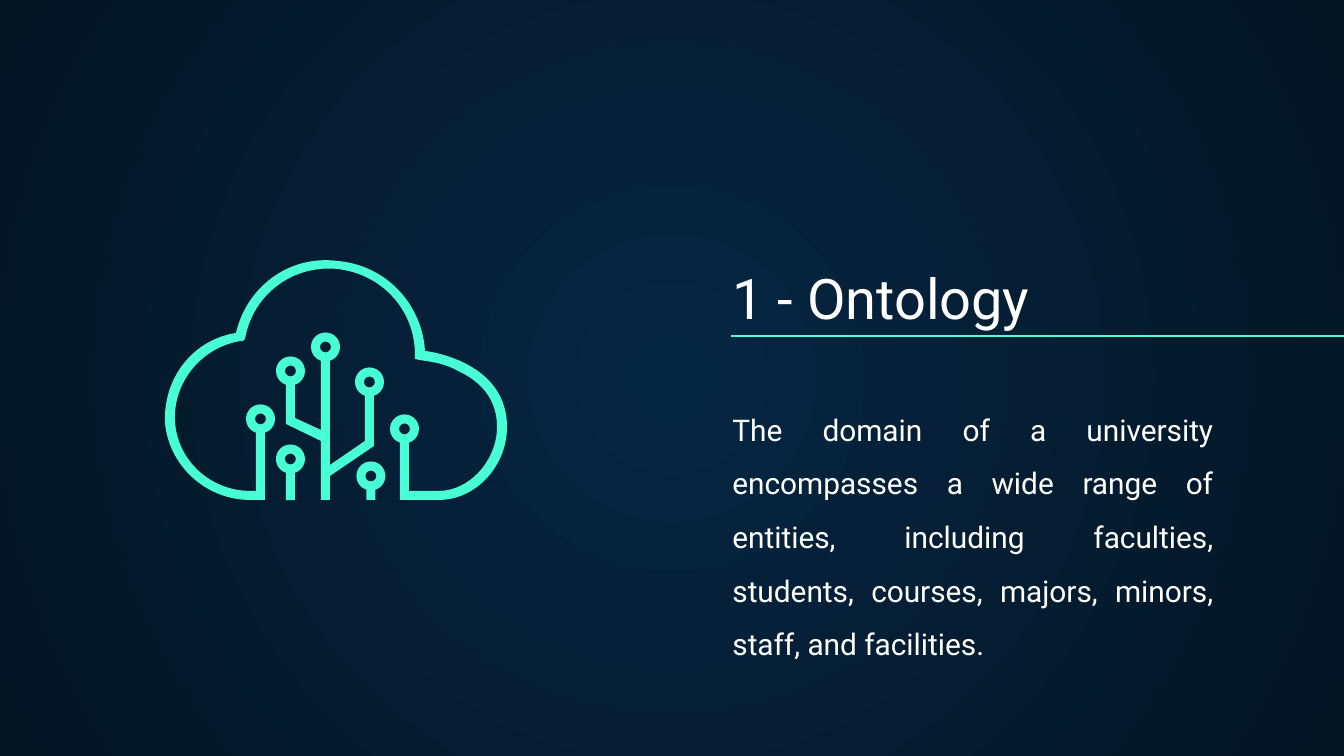
import math

from lxml import etree
from pptx import Presentation
from pptx.dml.color import RGBColor
from pptx.enum.shapes import MSO_CONNECTOR
from pptx.enum.text import MSO_ANCHOR, MSO_AUTO_SIZE, PP_ALIGN
from pptx.oxml.ns import qn
from pptx.util import Pt

EMU_PER_PX = 914400 / 134.4
STRAIGHT = MSO_CONNECTOR.STRAIGHT
TOP, BOTTOM = MSO_ANCHOR.TOP, MSO_ANCHOR.BOTTOM
LEFT, JUSTIFY = PP_ALIGN.LEFT, PP_ALIGN.JUSTIFY
NO_AUTOFIT = MSO_AUTO_SIZE.NONE

SLIDE_SIZE = (1344, 756)
FONT, WHITE, MINT = "Roboto", "FFFFFF", "48FFD5"
GLOW = ["052643", "041523"]
INSET = Pt(7.2)
RULE = (731, 336, 1384, 336)

TEXTS = [
    {"text": "1 - Ontology", "box": (719, 255, 519, 89), "size": 30,
     "anchor": BOTTOM, "align": LEFT, "spacing": 1.0},
    {"text": "The domain of a university encompasses a wide range of entities, "
             "including faculties, students, courses, majors, minors, staff, "
             "and facilities.",
     "box": (719, 380, 508, 296), "size": 16,
     "anchor": TOP, "align": JUSTIFY, "spacing": 1.5},
]

# Icon outlines: L = corner, C = cubic curve, N = ring around a node on a stem
NODE_RADIUS, HOLE_RADIUS, STEM_HALF = 14.5, 5.5, 4.5
TREE = [
    ("L", (374, 446)), ("N", (369.5, 382)), ("L", (365, 441)), ("L", (330, 465)),
    ("N", (325.5, 347)), ("L", (321, 430)), ("L", (295, 418)),
    ("N", (290.5, 371)), ("L", (286, 424)), ("L", (321, 441)),
    ("L", (321, 500)), ("L", (330, 500)), ("L", (330, 476)),
]
CLOUD = [
    ("L", (425, 351)),
    ("C", (422, 304), (386, 265), (337, 261)),
    ("C", (290, 255), (247, 286), (236, 333)),
    ("C", (192, 340), (163, 379), (165, 423)),
    ("C", (169, 466), (206, 500), (250, 500)),
    ("L", (265, 500)), ("N", (260.5, 419)), ("L", (256, 491)), ("L", (250, 491)),
    ("C", (210, 491), (177, 460), (175, 421)),
    ("C", (173, 382), (202, 347), (241, 341)),
    ("L", (243, 341)), ("L", (245, 339)),
    ("C", (253, 294), (293, 265), (337, 269)),
    ("C", (382, 274), (415, 310), (415, 355)),
    ("L", (415, 359)), ("L", (419, 360)),
    ("C", (433, 362), (446, 364), (458, 371)),
    ("C", (484, 383), (497, 402), (497, 427)),
    ("C", (497, 460), (470, 491), (439, 491)),
    ("L", (409, 491)), ("N", (404.5, 429)), ("L", (400, 500)), ("L", (439, 500)),
    ("C", (476, 500), (507, 466), (507, 427)),
    ("C", (507, 367), (441, 353), (425, 351)),
]
LEFT_SPROUT = [("L", (295, 500)), ("N", (290.5, 459)), ("L", (286, 500))]
RIGHT_SPROUT = [("L", (375.5, 500)), ("N", (371, 476)), ("L", (366.5, 500))]


def px(value):
    return round(value * EMU_PER_PX)


def rgb(color):
    return RGBColor.from_string(color)


def arc(center, radius, start, end, pieces=3):
    """Segments of an arc: its first point, then one cubic curve per piece."""
    sweep = math.radians(end - start) / pieces
    reach = 4 / 3 * math.tan(sweep / 4)

    def place(angle, tangent=0):
        return (center[0] + radius * (math.cos(angle) - tangent * math.sin(angle)),
                center[1] + radius * (math.sin(angle) + tangent * math.cos(angle)))

    angles = [math.radians(start) + sweep * i for i in range(pieces + 1)]
    return [[place(angles[0])]] + [
        [place(a, reach), place(b, -reach), place(b)]
        for a, b in zip(angles, angles[1:])]


def bend_curves(path, segments):
    """Join the three lines of each curved segment into one cubic curve."""
    lines = iter(path.findall(qn("a:lnTo")))
    for segment in segments:
        parts = [next(lines) for _ in segment]
        if len(parts) == 3:
            cubic = etree.Element(qn("a:cubicBezTo"))
            parts[0].addprevious(cubic)
            for part in parts:
                cubic.append(part[0])
                path.remove(part)


def add_outline(shapes, steps):
    """Add one filled outline, with a hole in each of its nodes."""
    gap = math.degrees(math.asin(STEM_HALF / NODE_RADIUS))
    outline, holes = [], []
    for kind, *points in steps:
        if kind == "N":
            outline += arc(points[0], NODE_RADIUS, 90 - gap, gap - 270)
            holes.append(arc(points[0], HOLE_RADIUS, 0, 360))
        else:
            outline.append(points)

    contours = [[[(px(x), px(y)) for x, y in segment] for segment in contour]
                for contour in [outline] + holes]
    builder = shapes.build_freeform(*contours[0][0][0])
    for index, (start, *segments) in enumerate(contours):
        if index:
            builder.move_to(*start[0])
        builder.add_line_segments(sum(segments, []), close=True)
    shape = builder.convert_to_shape()
    bend_curves(shape.element.find(".//" + qn("a:path")),
                [segment for contour in contours for segment in contour[1:]])
    shape.shadow.inherit = False
    shape.fill.solid()
    shape.fill.fore_color.rgb = rgb(MINT)
    shape.line.fill.background()


def paint_background(slide):
    fill = slide.background.fill
    fill.gradient()
    for stop, color, position in zip(fill.gradient_stops, GLOW, (0, 1)):
        stop.color.rgb = rgb(color)
        stop.position = position
    linear = slide.element.find(".//" + qn("a:lin"))
    radial = etree.Element(qn("a:path"), path="circle")
    etree.SubElement(radial, qn("a:fillToRect"),
                     {side: "50000" for side in "ltrb"})
    linear.getparent().replace(linear, radial)


def fill_placeholder(holder, content):
    holder.left, holder.top, holder.width, holder.height = map(px, content["box"])
    frame = holder.text_frame
    frame.text = content["text"]
    frame_format = {"word_wrap": True, "auto_size": NO_AUTOFIT,
                    "vertical_anchor": content["anchor"]}
    frame_format.update({f"margin_{side}": INSET
                         for side in ("left", "top", "right", "bottom")})
    paragraph = frame.paragraphs[0]
    font = paragraph.runs[0].font
    formats = [
        (frame, frame_format),
        (paragraph, {"alignment": content["align"], "space_before": Pt(0),
                     "line_spacing": content["spacing"]}),
        (font, {"name": FONT, "size": Pt(content["size"])}),
    ]
    for target, values in formats:
        for attribute, value in values.items():
            setattr(target, attribute, value)
    font.color.rgb = rgb(WHITE)


def main():
    deck = Presentation()
    deck.slide_width, deck.slide_height = map(px, SLIDE_SIZE)
    slide = deck.slides.add_slide(deck.slide_layouts[0])
    paint_background(slide)
    for holder, content in zip(slide.placeholders, TEXTS):
        fill_placeholder(holder, content)

    rule = slide.shapes.add_connector(STRAIGHT, *map(px, RULE))
    rule.line.color.rgb = rgb(MINT)
    rule.line.width = Pt(0.75)
    etree.SubElement(rule.element.spPr, qn("a:effectLst"))

    icon = slide.shapes.add_group_shape()
    for steps in (TREE, CLOUD, LEFT_SPROUT, RIGHT_SPROUT):
        add_outline(icon.shapes, steps)
    deck.save("out.pptx")


if __name__ == "__main__":
    main()
